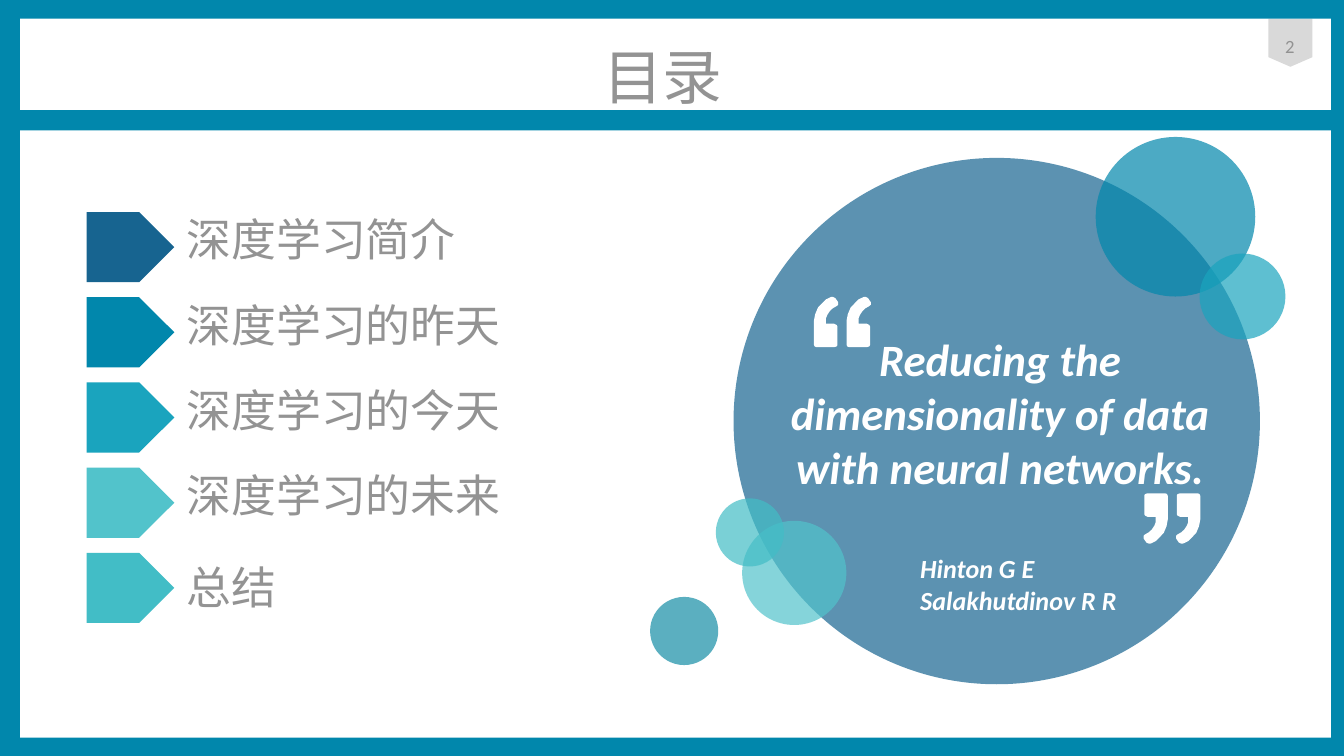
from lxml.etree import SubElement
from pptx import Presentation
from pptx.dml.color import RGBColor
from pptx.enum.shapes import MSO_SHAPE as Preset
from pptx.enum.text import MSO_ANCHOR as Anchor, PP_ALIGN as Align
from pptx.oxml.ns import qn
from pptx.util import Pt

LATIN, CHINESE = "Calibri", "Noto Sans CJK SC"
GREY, WHITE, TEAL = "939393", "FFFFFF", "0187AC"
TENTH = Pt(0.1)  # unit of the outline points below


def paint(shape, color, opacity=100):
    """Give a shape a plain fill, with no line and no shadow."""
    shape.shadow.inherit = False
    shape.line.fill.background()
    shape.fill.solid()
    shape.fill.fore_color.rgb = RGBColor.from_string(color)
    if opacity < 100:
        solid = shape.fill._xPr.find(qn("a:solidFill"))
        SubElement(solid[0], qn("a:alpha"), val=str(opacity * 1000))


def add_text(box, lines, size, color, font, align=Align.LEFT, anchor=Anchor.TOP,
             strong=False):
    """Add a text box without margins; strong means bold italic."""
    frame = shapes.add_textbox(*map(Pt, box)).text_frame
    frame.word_wrap = True
    frame.vertical_anchor = anchor
    frame.margin_left = frame.margin_right = frame.margin_top = frame.margin_bottom = 0
    for index, line in enumerate(lines):
        paragraph = frame.add_paragraph() if index else frame.paragraphs[0]
        paragraph.alignment = align
        run = paragraph.add_run()
        run.text = line
        run.font.name, run.font.size = font, Pt(size)
        run.font.bold = run.font.italic = strong
        run.font.color.rgb = RGBColor.from_string(color)
        SubElement(run.font._element, qn("a:ea"), typeface=font)


presentation = Presentation()
presentation.slide_width, presentation.slide_height = Pt(720), Pt(405)
slide = presentation.slides.add_slide(presentation.slide_layouts[6])
shapes = slide.shapes

# Page number and title
page_tag = shapes.add_shape(Preset.FLOWCHART_OFFPAGE_CONNECTOR,
                            Pt(679.5), Pt(10), Pt(23.6), Pt(25.8))
paint(page_tag, "D9D9D9")
add_text((679, 18, 24, 13.7), ["2"], 10, "929292", LATIN, Align.CENTER, Anchor.MIDDLE)
add_text((30.2, 26.6, 650, 28), ["目录"], 32, GREY, CHINESE, Align.CENTER, Anchor.MIDDLE)

# Table of contents: arrow tags with their headings
arrow_outline = [(0, 0), (282, 0), (470, 188), (282, 376), (0, 376)]
contents = [
    ("深度学习简介", "176490"),
    ("深度学习的昨天", TEAL),
    ("深度学习的今天", "1AA4BE"),
    ("深度学习的未来", "52C3CB"),
    ("总结", "42BDC6"),
]
for index, (heading, color) in enumerate(contents):
    top = 113.6 + 45.65 * index
    builder = shapes.build_freeform(*arrow_outline[0], scale=TENTH)
    builder.add_line_segments(arrow_outline[1:])
    paint(builder.convert_to_shape(Pt(46.4), Pt(top)), color)
    drop = 3.4 if heading == "总结" else 0
    add_text((100, top + drop, 264, 29), [heading], 24, GREY, CHINESE)

# Translucent bubbles: left, top, diameter, color
bubbles = [
    (393, 84.6, 282, "176490"),
    (587, 73.4, 85.5, TEAL),
    (642.6, 135.8, 46, "1AA4BE"),
    (397.6, 279, 55.8, "52C3CB"),
    (383.5, 267, 36.5, "42BDC6"),
    (348.3, 319.8, 36.5, "168EA6"),
]
for left, top, diameter, color in bubbles:
    bubble = shapes.add_shape(Preset.OVAL, Pt(left), Pt(top), Pt(diameter), Pt(diameter))
    paint(bubble, color, opacity=70)

# Quotation with its marks and authors
add_text((414, 177.8, 243.4, 86.4),
         ["Reducing the dimensionality of data with neural networks."],
         24, WHITE, LATIN, Align.CENTER, strong=True)

mark_outline = [
    (101, 0), (115, 7), (130, 29), (130, 43), (122, 50), (101, 62), (86, 76),
    (72, 97), (65, 115), (65, 144), (108, 144), (122, 151), (126, 158),
    (126, 259), (122, 266), (108, 270), (14, 270), (4, 266), (0, 256),
    (0, 180), (0, 130), (7, 94), (22, 58), (43, 36), (65, 14), (94, 0),
]
for left, top, angle in [(436, 159, 0), (453.5, 159, 0), (630, 264.3, 180), (612.6, 264.3, 180)]:
    builder = shapes.build_freeform(*mark_outline[0], scale=TENTH)
    builder.add_line_segments(mark_outline[1:])
    mark = builder.convert_to_shape(Pt(left), Pt(top))
    mark.rotation = angle
    paint(mark, WHITE)

add_text((493, 296, 132.5, 34), ["Hinton G E", "Salakhutdinov R R"],
         14, WHITE, LATIN, strong=True)

# Frame bars: left, top, rotation
bars = [(-7, 59, 0), (-16.5, 395.2, 0), (351.3, 250.5, 90), (-13, -0.8, 0), (-362, 190.8, 90)]
for left, top, angle in bars:
    bar = shapes.add_shape(Preset.ROUNDED_RECTANGLE, Pt(left), Pt(top), Pt(734.4), Pt(10.8))
    bar.rotation = angle
    paint(bar, TEAL)

presentation.save("out.pptx")
